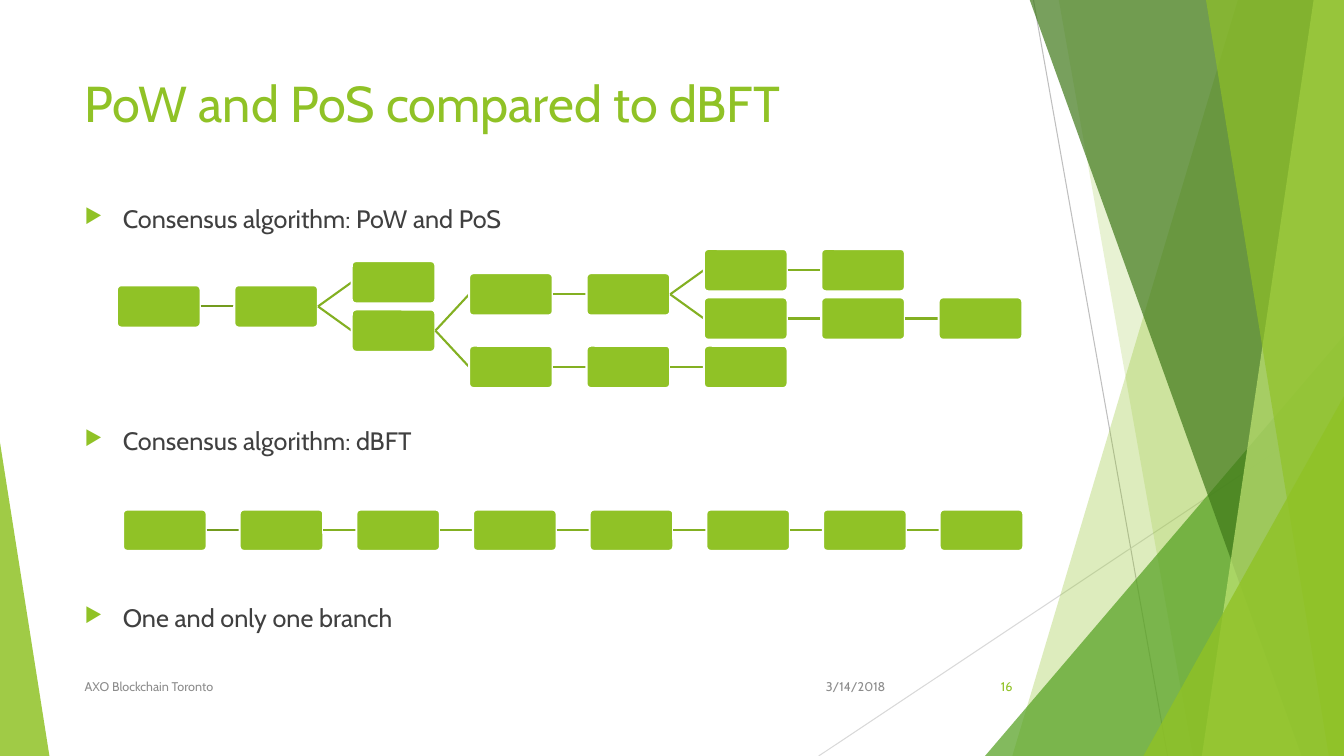
from dataclasses import dataclass

import pptx
import pptx.dml.color
import pptx.enum.shapes
import pptx.enum.text
import pptx.oxml
import pptx.oxml.ns
import pptx.util

Inches = pptx.util.Inches
Pt = pptx.util.Pt
Align = pptx.enum.text.PP_ALIGN
Anchor = pptx.enum.text.MSO_ANCHOR
Preset = pptx.enum.shapes.MSO_SHAPE
qn = pptx.oxml.ns.qn
LEFT_SITE, RIGHT_SITE = 1, 3


@dataclass(frozen=True)
class Theme:
    font: str = "Cabin"
    green: str = "90C226"
    leaf: str = "54A021"
    forest: str = "3F7819"
    lime: str = "C0E474"
    first_link: str = "739B1E"
    link: str = "83B022"
    white: str = "FFFFFF"
    body: str = "404040"
    muted: str = "8C8C8C"
    hairline: str = "BFBFBF"
    pale_hairline: str = "D9D9D9"
    title_size: int = 36
    body_size: int = 18
    footer_size: int = 9


def rgb(color):
    return pptx.dml.color.RGBColor.from_string(color)


def add_xml(parent, tag, **attributes):
    child = parent.makeelement(qn(tag), attributes)
    parent.append(child)
    return child


class SlideBuilder:
    def __init__(self, slide, theme):
        self.slide = slide
        self.shapes = slide.shapes
        self.theme = theme

    def fill(self, shape, color, opacity=100):
        shape.shadow.inherit = False
        shape.fill.solid()
        shape.fill.fore_color.rgb = rgb(color)
        if opacity < 100:
            solid = shape._element.spPr.find(qn("a:solidFill"))
            add_xml(solid[0], "a:alpha", val=str(opacity * 1000))
        shape.line.fill.background()

    def line(self, color, width, start=(0, 0), end=(0, 0)):
        connector = self.shapes.add_connector(
            pptx.enum.shapes.MSO_CONNECTOR.STRAIGHT,
            *(Inches(value) for value in (*start, *end)))
        connector.line.color.rgb = rgb(color)
        connector.line.width = Pt(width)
        add_xml(connector._element.spPr, "a:effectLst")
        return connector

    def facet(self, top_left, top_right, bottom_left, color, opacity):
        """Draw a full-height panel that reaches the right slide edge."""
        outline = self.shapes.build_freeform(Inches(top_left), Inches(-0.01), 1.0)
        outline.add_line_segments(
            [(Inches(x), Inches(y)) for x, y in
             ((top_right, -0.01), (13.33, 7.5), (bottom_left, 7.5))])
        self.fill(outline.convert_to_shape(), color, opacity)

    def triangle(self, box, apex, color, opacity):
        shape = self.shapes.add_shape(
            Preset.ISOSCELES_TRIANGLE, *map(Inches, box))
        shape.adjustments[0] = apex
        self.fill(shape, color, opacity)

    def add_text(self, paragraph, wording, size, color):
        run = paragraph.add_run()
        run.text = wording
        run.font.name = self.theme.font
        run.font.size = Pt(size)
        run.font.color.rgb = rgb(color)

    def title(self, wording, box):
        title = self.shapes.title
        title.left, title.top, title.width, title.height = map(Inches, box)
        frame = title.text_frame
        frame.auto_size = pptx.enum.text.MSO_AUTO_SIZE.NONE
        frame.vertical_anchor = Anchor.TOP
        frame.paragraphs[0].alignment = Align.LEFT
        self.add_text(frame.paragraphs[0], wording,
                      self.theme.title_size, self.theme.green)

    def text_frame(self, box, anchor):
        frame = self.shapes.add_textbox(*map(Inches, box)).text_frame
        frame.word_wrap = True
        frame.vertical_anchor = anchor
        return frame

    def bullets(self, items, box):
        """Set (wording, points of space before) pairs as a bulleted list."""
        frame = self.text_frame(box, Anchor.TOP)
        for index, (wording, space_before) in enumerate(items):
            paragraph = frame.add_paragraph() if index else frame.paragraphs[0]
            properties = paragraph._p.get_or_add_pPr()
            properties.set("marL", str(Inches(0.38)))
            properties.set("indent", str(Inches(-0.38)))
            bullet_color = add_xml(properties, "a:buClr")
            add_xml(bullet_color, "a:srgbClr", val=self.theme.green)
            add_xml(properties, "a:buSzPct", val="80000")
            add_xml(properties, "a:buChar", char="▶")
            if space_before:
                paragraph.space_before = Pt(space_before)
            self.add_text(paragraph, wording, self.theme.body_size, self.theme.body)

    def footer(self, wording, box, color, alignment):
        paragraph = self.text_frame(box, Anchor.MIDDLE).paragraphs[0]
        paragraph.alignment = alignment
        self.add_text(paragraph, wording, self.theme.footer_size, color)

    def block(self, left, middle, height):
        block = self.shapes.add_shape(
            Preset.ROUNDED_RECTANGLE, Inches(left), Inches(middle - height / 2),
            Inches(0.83), Inches(height))
        block.adjustments[0] = 0.1
        self.fill(block, self.theme.green)
        block.line.color.rgb = rgb(self.theme.white)
        block.line.width = Pt(1.5)
        return block

    def chain(self, nodes, left, last_left, top_middle, height):
        """Draw (column, level, parent index) nodes, each linked to its parent."""
        pitch = (last_left - left) / 7
        blocks = []
        for column, level, parent in nodes:
            link = None
            if parent is not None:
                color = self.theme.first_link if parent == 0 else self.theme.link
                link = self.line(color, 1.5)
                link.begin_connect(blocks[parent], RIGHT_SITE)
            blocks.append(self.block(left + column * pitch,
                                     top_middle + level * 0.12, height))
            if link is not None:
                link.end_connect(blocks[-1], LEFT_SITE)


def draw_backdrop(builder):
    theme = builder.theme
    builder.line(theme.hairline, 0.75, (10.25, 0), (11.58, 7.5))
    builder.line(theme.pale_hairline, 0.75, (13.33, 4.03), (8.12, 7.5))
    builder.facet(12.28, 13.33, 10.04, theme.green, 30)
    builder.facet(10.5, 13.33, 11.83, theme.green, 20)
    builder.triangle((9.77, 3.33, 3.56, 4.17), 1, theme.leaf, 72)
    builder.facet(10.21, 13.33, 12.91, theme.forest, 70)
    builder.facet(13.03, 13.33, 11.92, theme.lime, 70)
    builder.facet(11.96, 13.33, 13.18, theme.green, 65)
    builder.triangle((11.34, 3.93, 1.99, 3.57), 1, theme.green, 80)
    builder.triangle((0, 4.39, 0.49, 3.11), 0, theme.green, 85)


def main():
    presentation = pptx.Presentation()
    presentation.slide_width = Inches(13.33)
    presentation.slide_height = Inches(7.5)
    theme = Theme()
    title_only = presentation.slide_layouts[5]
    builder = SlideBuilder(presentation.slides.add_slide(title_only), theme)

    draw_backdrop(builder)
    builder.title("PoW and PoS compared to dBFT", (0.74, 0.67, 11.27, 1.12))
    builder.bullets([("Consensus algorithm: PoW and PoS", 0),
                     ("Consensus algorithm: dBFT", 137),
                     ("One and only one branch", 105)],
                    (0.74, 1.97, 11.27, 4.64))
    builder.footer("3/14/2018", (7.88, 6.61, 1, 0.4), theme.muted, Align.RIGHT)
    builder.footer("AXO Blockchain Toronto", (0.74, 6.61, 6.89, 0.4),
                   theme.muted, Align.LEFT)
    builder.footer("16", (9.39, 6.61, 0.75, 0.4), theme.green, Align.RIGHT)

    forked_chain = [
        (0, 3, None), (1, 3, 0), (2, 1, 1), (2, 5, 1),
        (3, 2, 3), (4, 2, 4), (5, 0, 5), (6, 0, 6),
        (5, 4, 5), (6, 4, 8), (7, 4, 9),
        (3, 8, 3), (4, 8, 11), (5, 8, 12),
    ]
    single_chain = [(column, 0, column - 1 if column else None)
                    for column in range(8)]
    builder.chain(forked_chain, 1.16, 9.31, 2.68, 0.42)
    builder.chain(single_chain, 1.22, 9.32, 5.26, 0.41)
    presentation.save("out.pptx")


if __name__ == "__main__":
    main()
